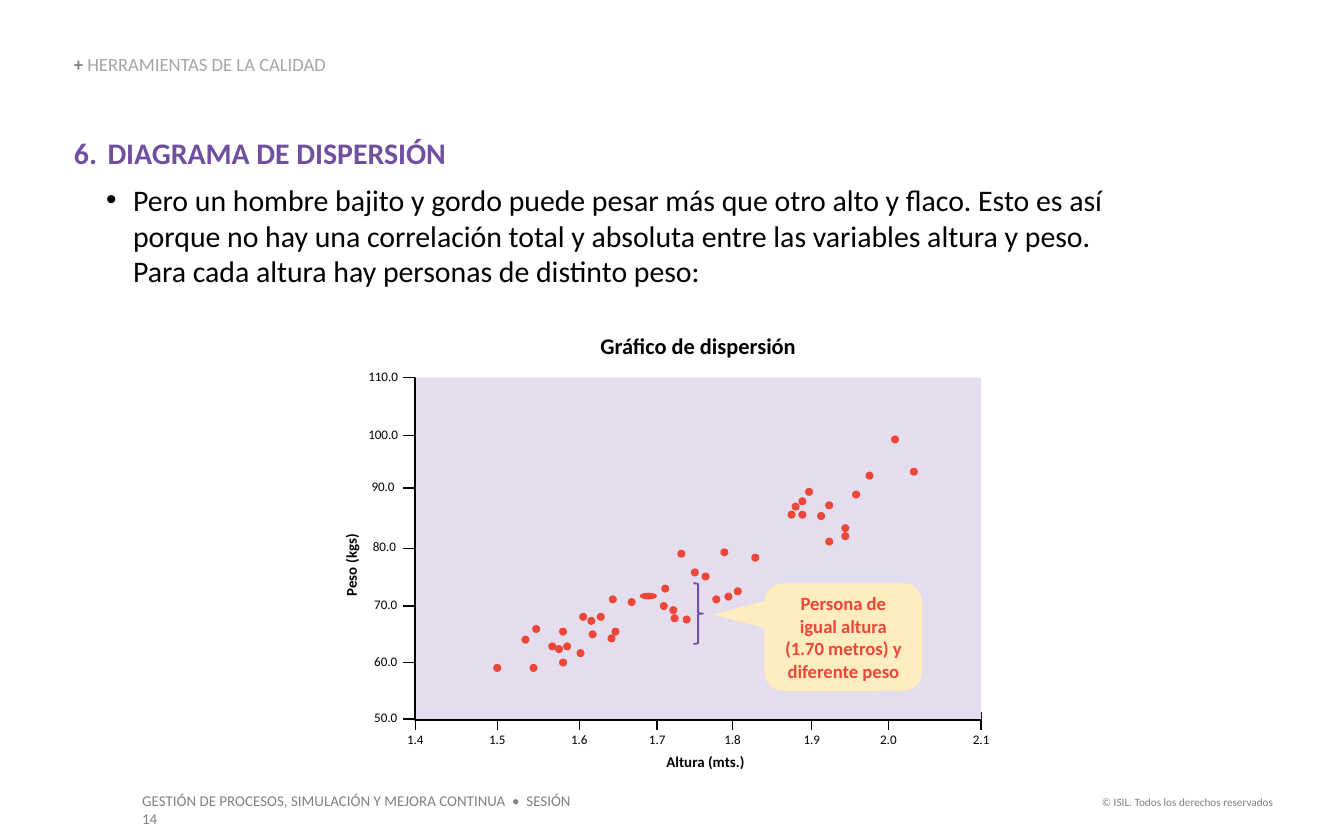
from lxml import etree
from pptx import Presentation
from pptx.dml.color import RGBColor
from pptx.enum.shapes import MSO_CONNECTOR, MSO_SHAPE
from pptx.enum.text import MSO_ANCHOR, MSO_AUTO_SIZE, PP_ALIGN
from pptx.oxml.ns import qn
from pptx.util import Inches, Pt

LEFT, CENTER, RIGHT = PP_ALIGN.LEFT, PP_ALIGN.CENTER, PP_ALIGN.RIGHT
TOP, MIDDLE, BOTTOM = MSO_ANCHOR.TOP, MSO_ANCHOR.MIDDLE, MSO_ANCHOR.BOTTOM
FIT_SHAPE, NO_FIT = MSO_AUTO_SIZE.SHAPE_TO_FIT_TEXT, MSO_AUTO_SIZE.NONE
STRAIGHT, ELBOW = MSO_CONNECTOR.STRAIGHT, MSO_CONNECTOR.ELBOW
RECTANGLE, OVAL = MSO_SHAPE.RECTANGLE, MSO_SHAPE.OVAL
RIGHT_BRACE, CALLOUT = MSO_SHAPE.RIGHT_BRACE, MSO_SHAPE.ROUNDED_RECTANGULAR_CALLOUT

FONT = "Calibri"
COLORS = {name: RGBColor.from_string(value) for name, value in {
    "black": "000000", "gray": "808080", "light_gray": "A6A6A6",
    "purple": "714FA0", "plot": "E4DDED", "red": "EE4639", "cream": "FFEDBF",
}.items()}

presentation = Presentation()
presentation.slide_width = Inches(10)
presentation.slide_height = Inches(6.25)
slide = presentation.slides.add_slide(presentation.slide_layouts[1])
shapes = slide.shapes


def write_text(shape, text, *, size, color="black", bold=False, align=LEFT,
               anchor=TOP, margins=(0, 0), fit=FIT_SHAPE, new_paragraph=False):
    """Add a formatted run to the last, or a new, paragraph of a shape."""
    frame = shape.text_frame
    frame.word_wrap = True
    frame.auto_size = fit
    frame.vertical_anchor = anchor
    frame.margin_left = frame.margin_right = Inches(margins[0])
    frame.margin_top = frame.margin_bottom = Inches(margins[1])
    paragraph = frame.add_paragraph() if new_paragraph else frame.paragraphs[-1]
    paragraph.alignment = align
    run = paragraph.add_run()
    run.text = text
    run.font.name = FONT
    run.font.size = Pt(size)
    run.font.bold = bold
    run.font.color.rgb = COLORS[color]
    return paragraph


def add_line(start, end, width=0.75, kind=STRAIGHT):
    line = shapes.add_connector(kind, *map(Inches, start + end))
    line.line.color.rgb = COLORS["black"]
    line.line.width = Pt(width)
    etree.SubElement(line._element.spPr, qn("a:effectLst"))
    return line


# Footer
for text, box, size, align in (
    ("© ISIL. Todos los derechos reservados", (8.07, 5.87, 1.5, 0.2), 6, RIGHT),
    ("GESTIÓN DE PROCESOS, SIMULACIÓN Y MEJORA CONTINUA  •  SESIÓN 14",
     (0.96, 5.84, 3.53, 0.24), 8, LEFT),
):
    footer = shapes.add_textbox(*map(Inches, box))
    write_text(footer, text, size=size, color="gray", align=align, margins=(0.1, 0.05))

# Section title
title = shapes.title
title.left, title.top, title.width, title.height = map(Inches, (0.55, 0.41, 2.66, 0.15))
write_text(title, "+ ", size=10, color="gray", bold=True, anchor=BOTTOM)
paragraph = write_text(title, "HERRAMIENTAS DE LA CALIDAD", size=10,
                       color="light_gray", anchor=BOTTOM)
paragraph.line_spacing = 0.9

# Numbered heading and bullet
body = slide.placeholders[1]
body.left, body.top, body.width, body.height = map(Inches, (0.55, 1, 7.88, 1.16))
heading = write_text(body, "DIAGRAMA DE DISPERSIÓN", size=16, color="purple", bold=True)
bullet = write_text(
    body,
    "Pero un hombre bajito y gordo puede pesar más que otro alto y flaco. Esto es así "
    "porque no hay una correlación total y absoluta entre las variables altura y peso. "
    "Para cada altura hay personas de distinto peso:",
    size=16, new_paragraph=True)
for paragraph, indent, hanging, tag, attributes in (
    (heading, 0.25, 0.25, "a:buAutoNum", {"type": "arabicPeriod", "startAt": "6"}),
    (bullet, 0.44, 0.2, "a:buChar", {"char": "•"}),
):
    properties = paragraph._p.get_or_add_pPr()
    properties.set("marL", str(Inches(indent)))
    properties.set("indent", str(-Inches(hanging)))
    etree.SubElement(properties, qn("a:buFont"), typeface="Arial" if paragraph is bullet else "+mj-lt")
    etree.SubElement(properties, qn(tag), attributes)
    paragraph.space_before = Pt(0)
    paragraph.space_after = Pt(6)

# Height axis: ticks and labels
height_ticks = {"1.4": 3.09, "1.5": 3.7, "1.6": 4.31, "1.7": 4.89,
                "1.8": 5.45, "1.9": 6.04, "2.0": 6.61, "2.1": 7.3}
for text, x in height_ticks.items():
    add_line((x, 5.3), (x, 5.43))
    label = shapes.add_textbox(Inches(x - 0.16), Inches(5.44), Inches(0.32), Inches(0.13))
    write_text(label, text, size=7, align=CENTER)

# Plot area and axis lines
plot = shapes.add_shape(RECTANGLE, Inches(3.08), Inches(2.81), Inches(4.22), Inches(2.55))
plot.shadow.inherit = False
plot.fill.solid()
plot.fill.fore_color.rgb = COLORS["plot"]
plot.line.fill.background()
axes = add_line((3.08, 2.81), (7.3, 5.36), width=1, kind=ELBOW)
guides = axes._element.xpath(".//a:avLst")[0]
etree.SubElement(guides, qn("a:gd"), name="adj1", fmla="val 200")

# Weight axis: ticks and labels
for text, y, left in (
    ("50.0", 5.35, 2.71), ("60.0", 4.93, 2.71), ("70.0", 4.51, 2.71), ("80.0", 4.08, 2.7),
    ("90.0", 3.63, 2.69), ("100.0", 3.24, 2.69), ("110.0", 2.81, 2.69),
):
    add_line((3, y), (3.08, y))
    label = shapes.add_textbox(Inches(left), Inches(y - 0.07), Inches(0.32), Inches(0.13))
    write_text(label, text, size=7, align=CENTER)

# Chart title and axis titles
for text, box, size, rotation in (
    ("Gráfico de dispersión", (4.04, 2.47, 2.31, 0.23), 12, 0),
    ("Altura (mts.)", (4.83, 5.6, 0.84, 0.15), 8, 0),
    ("Peso (kgs)", (2.31, 4.13, 0.62, 0.15), 8, 270),
):
    label = shapes.add_textbox(*map(Inches, box))
    label.rotation = rotation
    write_text(label, text, size=size, bold=True, align=CENTER)

# Data points, by top left corner; one is a wide oval
points = [
    (3.67, 4.94), (3.94, 4.94), (4.16, 4.9), (4.29, 4.83), (4.19, 4.78), (4.13, 4.8),
    (4.08, 4.78), (4.16, 4.67), (3.88, 4.73), (3.96, 4.65), (4.38, 4.69), (4.52, 4.72),
    (4.55, 4.67), (4.37, 4.59), (4.44, 4.56), (4.31, 4.56), (4.53, 4.43), (4.67, 4.45),
    (4.92, 4.35), (4.91, 4.48), (4.98, 4.51), (4.99, 4.57), (5.08, 4.58), (5.3, 4.43),
    (5.39, 4.41), (5.46, 4.37), (5.22, 4.26), (5.14, 4.23), (5.04, 4.09), (5.36, 4.08),
    (5.59, 4.12), (6.14, 4), (6.26, 3.9), (6.26, 3.96), (6.08, 3.81), (6.14, 3.73),
    (5.94, 3.8), (5.86, 3.8), (5.89, 3.74), (5.94, 3.7), (5.99, 3.63), (6.34, 3.65),
    (6.44, 3.51), (6.77, 3.48), (6.63, 3.24),
]
ovals = [(x, y, 0.06, 0.06) for x, y in points] + [(4.76, 4.41, 0.13, 0.05)]
for box in ovals:
    point = shapes.add_shape(OVAL, *map(Inches, box))
    point.shadow.inherit = False
    point.fill.solid()
    point.fill.fore_color.rgb = COLORS["red"]
    point.line.fill.background()

# Brace and callout for people of equal height
brace = shapes.add_shape(RIGHT_BRACE, Inches(5.16), Inches(4.34), Inches(0.07), Inches(0.45))
brace.shadow.inherit = False
brace.fill.background()
brace.line.color.rgb = COLORS["purple"]
brace.line.width = Pt(1)

callout = shapes.add_shape(CALLOUT, Inches(5.69), Inches(4.34), Inches(1.17), Inches(0.8))
callout.shadow.inherit = False
for index, value in enumerate((-0.83, -0.21, 0.17)):
    callout.adjustments[index] = value
callout.fill.solid()
callout.fill.fore_color.rgb = COLORS["cream"]
callout.line.fill.background()
write_text(callout, "Persona de igual altura (1.70 metros) y diferente peso", size=10,
           color="red", bold=True, align=CENTER, anchor=MIDDLE, margins=(0.1, 0.05), fit=NO_FIT)

presentation.save("out.pptx")
